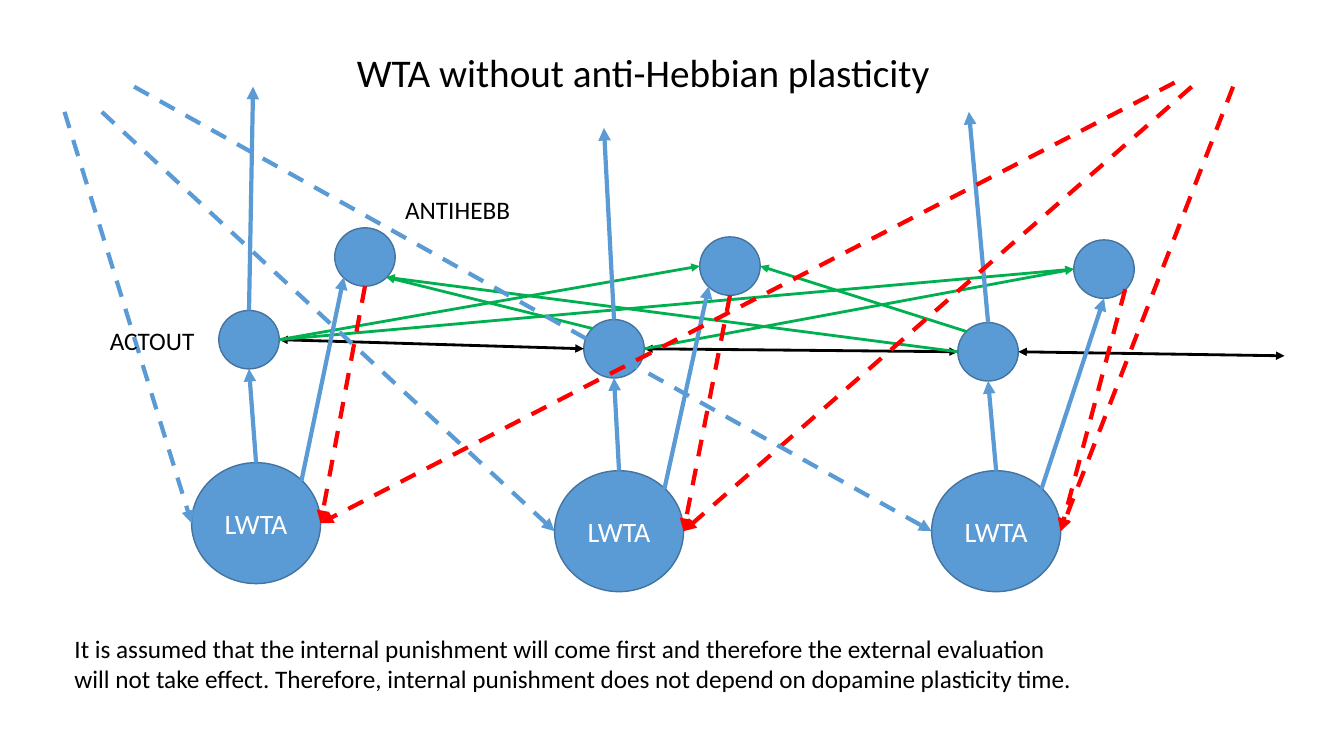
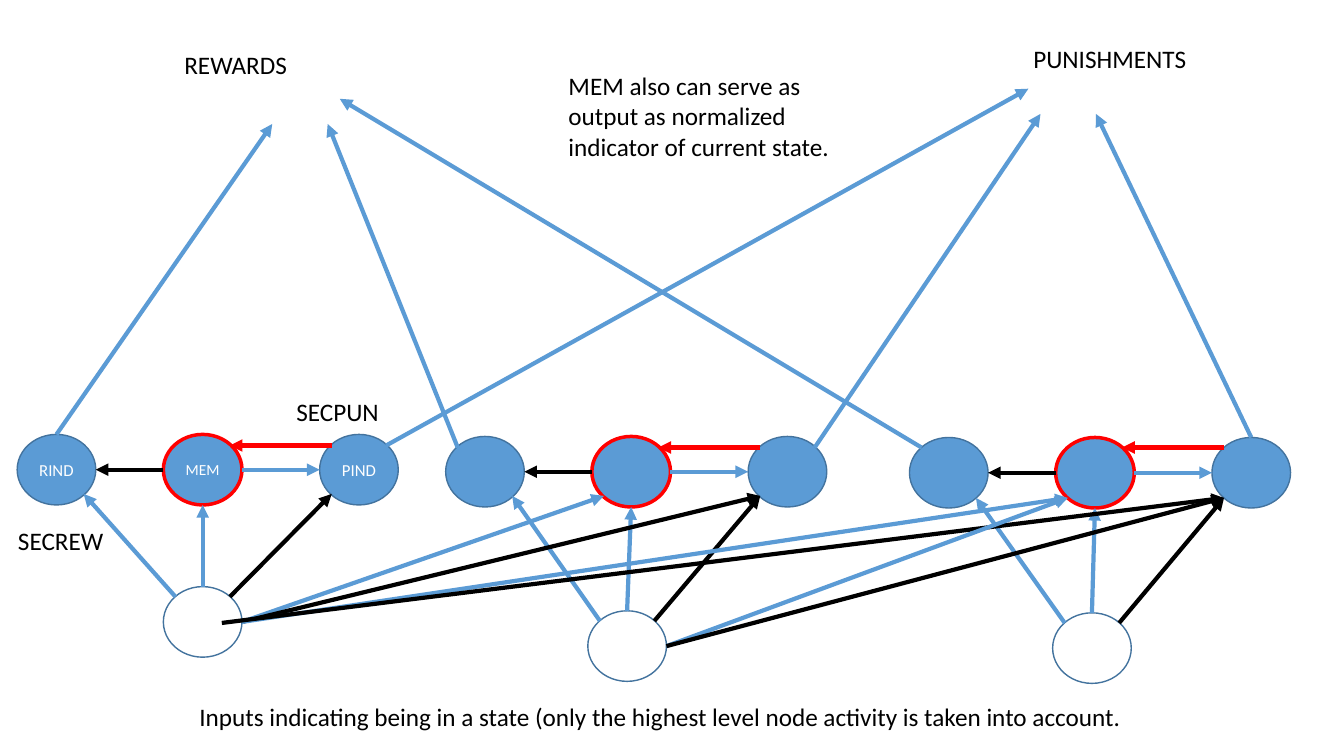
from dataclasses import dataclass

from pptx import Presentation
from pptx.dml.color import RGBColor
from pptx.enum.dml import MSO_LINE
from pptx.enum.shapes import MSO_CONNECTOR, MSO_SHAPE
from pptx.enum.text import MSO_ANCHOR, MSO_AUTO_SIZE, PP_ALIGN
from pptx.oxml.xmlchemy import OxmlElement
from pptx.util import Emu, Pt

EMU_PER_PX = 9144
SLIDE_WIDTH, SLIDE_HEIGHT = 1333, 750
FONT = "Calibri"
BLUE = RGBColor(0x5B, 0x9B, 0xD5)
OUTLINE = RGBColor(0x43, 0x73, 0x9E)
RED = RGBColor(0xFF, 0x00, 0x00)
GREEN = RGBColor(0x00, 0xB0, 0x50)
BLACK = RGBColor(0x00, 0x00, 0x00)
WHITE = RGBColor(0xFF, 0xFF, 0xFF)

SITES = {
    "top": (0.5, 0), "bottom": (0.5, 1), "left": (0, 0.5), "right": (1, 0.5),
    "top_left": (0.15, 0.15), "top_right": (0.85, 0.15),
    "bottom_left": (0.15, 0.85), "bottom_right": (0.85, 0.85),
}
LARGE, SMALL, STATE = (128, 120), (60, 58), (78, 70)


@dataclass
class Node:
    left: int
    top: int
    width: int
    height: int

    def at(self, site):
        across, down = SITES[site]
        return round(self.left + across * self.width), round(self.top + down * self.height)


def px(*lengths):
    return [Emu(length * EMU_PER_PX) for length in lengths]


def write(frame, text, size=18, color=BLACK, align=PP_ALIGN.LEFT):
    frame.word_wrap = True
    paragraph = frame.paragraphs[0]
    paragraph.alignment = align
    run = paragraph.add_run()
    run.text = text
    run.font.name = FONT
    run.font.size = Pt(size)
    run.font.color.rgb = color


def add_label(slide, text, box, size=18):
    frame = slide.shapes.add_textbox(*px(*box)).text_frame
    write(frame, text, size=size)
    frame.auto_size = MSO_AUTO_SIZE.SHAPE_TO_FIT_TEXT


def add_node(slide, left, top, size, text="", text_size=12, fill=BLUE, line=OUTLINE, weight=1):
    node = Node(left, top, *size)
    shape = slide.shapes.add_shape(MSO_SHAPE.OVAL, *px(left, top, *size))
    shape.shadow.inherit = False
    if fill is None:
        shape.fill.background()
    else:
        shape.fill.solid()
        shape.fill.fore_color.rgb = fill
    shape.line.color.rgb = line
    shape.line.width = Pt(weight)
    if text:
        frame = shape.text_frame
        frame.margin_left = frame.margin_right = 0
        frame.vertical_anchor = MSO_ANCHOR.MIDDLE
        write(frame, text, size=text_size, color=WHITE, align=PP_ALIGN.CENTER)
    return node


def add_arrow(slide, start, end, color=BLUE, weight=3, dashed=False, both=False):
    connector = slide.shapes.add_connector(MSO_CONNECTOR.STRAIGHT, *px(*start, *end))
    connector.line.color.rgb = color
    connector.line.width = Pt(weight)
    if dashed:
        connector.line.dash_style = MSO_LINE.DASH
    properties = connector.element.spPr
    for tag in ("a:headEnd", "a:tailEnd") if both else ("a:tailEnd",):
        arrowhead = OxmlElement(tag)
        arrowhead.set("type", "triangle")
        properties.ln.append(arrowhead)
    properties.append(OxmlElement("a:effectLst"))


def add_column(slide, lwta_origin, actout_origin):
    left, top = actout_origin
    lwta = add_node(slide, *lwta_origin, LARGE, text="LWTA", text_size=20)
    actout = add_node(slide, left, top, SMALL)
    antihebb = add_node(slide, left + 115, top - 82, SMALL)
    return lwta, actout, antihebb


def connect_column(slide, column, output, excite_site, punish_site):
    lwta, actout, antihebb = column
    add_arrow(slide, lwta.at("top"), actout.at("bottom"))
    add_arrow(slide, lwta.at("top_right"), antihebb.at(excite_site))
    add_arrow(slide, antihebb.at(punish_site), lwta.at("right"), color=RED, dashed=True)
    add_arrow(slide, actout.at("top"), output)


def build_wta_slide(slide):
    add_label(slide, "WTA without anti-Hebbian plasticity", (344, 43, 615, 57), size=28)
    columns = [
        add_column(slide, lwta_origin, actout_origin)
        for lwta_origin, actout_origin in (
            ((190, 459), (217, 308)), ((550, 467), (579, 317)), ((924, 467), (950, 320)))
    ]
    lwtas, actouts, antihebbs = zip(*columns)

    right_ends = [actouts[1].at("left"), actouts[2].at("left"), (1274, 353)]
    for actout, end in zip(actouts, right_ends):
        add_arrow(slide, actout.at("right"), end, color=BLACK, weight=2, both=True)

    for source, source_site, target, target_site in (
        (0, "right", 1, "left"), (0, "right", 2, "left"),
        (1, "top_left", 0, "bottom_right"), (1, "right", 2, "left"),
        (2, "left", 0, "bottom_right"), (2, "top_left", 1, "right"),
    ):
        add_arrow(slide, actouts[source].at(source_site), antihebbs[target].at(target_site),
                  color=GREEN, weight=2)

    for column, output, excite_site, punish_site in zip(
        columns, ((251, 86), (599, 127), (961, 111)),
        ("bottom_left", "bottom_left", "bottom"), ("bottom", "bottom", "bottom_right"),
    ):
        connect_column(slide, column, output, excite_site, punish_site)

    rewards = ((64, 111), (101, 111), (133, 86))
    punishments = ((1165, 82), (1182, 86), (1223, 86))
    for lwta, reward, punishment in zip(lwtas, rewards, punishments):
        add_arrow(slide, punishment, lwta.at("right"), color=RED, dashed=True)
        add_arrow(slide, reward, lwta.at("left"), dashed=True)

    add_label(slide, "It is assumed that the internal punishment will come first and therefore "
              "the external evaluation will not take effect. Therefore, internal punishment "
              "does not depend on dopamine plasticity time.", (64, 623, 1015, 71))
    add_label(slide, "ACTOUT", (99, 318, 119, 40))
    add_label(slide, "ANTIHEBB", (392, 188, 137, 40))


def add_state_group(slide, memory_origin, input_origin, names):
    left, top = memory_origin
    rind_name, mem_name, pind_name = names
    source = add_node(slide, *input_origin, STATE, fill=None)
    mem = add_node(slide, left, top, STATE, text=mem_name, text_size=11, line=RED, weight=2.5)
    rind = add_node(slide, left - 145, top, STATE, text=rind_name)
    pind = add_node(slide, left + 155, top, STATE, text=pind_name)
    add_arrow(slide, source.at("top"), mem.at("bottom"))
    add_arrow(slide, source.at("top_left"), rind.at("bottom_right"))
    add_arrow(slide, source.at("top_right"), pind.at("bottom_left"), color=BLACK)
    add_arrow(slide, mem.at("left"), rind.at("right"), color=BLACK)
    add_arrow(slide, mem.at("right"), pind.at("left"))
    add_arrow(slide, pind.at("top_left"), mem.at("top_right"), color=RED)
    return source, rind, mem, pind


def build_memory_slide(slide):
    unnamed = ("", "", "")
    groups = [
        add_state_group(slide, memory_origin, input_origin, names)
        for memory_origin, input_origin, names in (
            ((162, 431), (162, 582), ("RIND", "MEM", "PIND")),
            ((587, 433), (583, 606), unnamed),
            ((1047, 434), (1044, 608), unnamed))
    ]
    sources, rinds, mems, pinds = zip(*groups)

    for nodes, sites, ends in (
        (rinds, ("top", "top_left", "top_left"), ((270, 123), (325, 123), (337, 98))),
        (pinds, ("top_right", "top_right", "top"), ((1020, 88), (1032, 113), (1087, 113))),
    ):
        for node, site, end in zip(nodes, sites, ends):
            add_arrow(slide, node.at(site), end)

    first, second = sources[0].at("right"), sources[1].at("right")
    for mem_start, pind_start, target in (
        (first, first, 1), (first, (220, 618), 2), (second, second, 2),
    ):
        add_arrow(slide, mem_start, mems[target].at("bottom_left"))
        add_arrow(slide, pind_start, pinds[target].at("bottom_left"), color=BLACK)

    for text, box in (
        ("REWARDS", (173, 44, 144, 40)),
        ("PUNISHMENTS", (1015, 38, 199, 40)),
        ("Inputs indicating being in a state (only the highest level node activity is taken "
         "into account.", (188, 691, 974, 40)),
        ("MEM also can serve as output as normalized indicator of current state.",
         (554, 65, 293, 101)),
        ("SECREW", (8, 516, 111, 40)),
        ("SECPUN", (284, 388, 111, 40)),
    ):
        add_label(slide, text, box)


def main():
    presentation = Presentation()
    presentation.slide_width, presentation.slide_height = px(SLIDE_WIDTH, SLIDE_HEIGHT)
    for build in (build_wta_slide, build_memory_slide):
        build(presentation.slides.add_slide(presentation.slide_layouts[6]))
    presentation.save("out.pptx")


if __name__ == "__main__":
    main()
